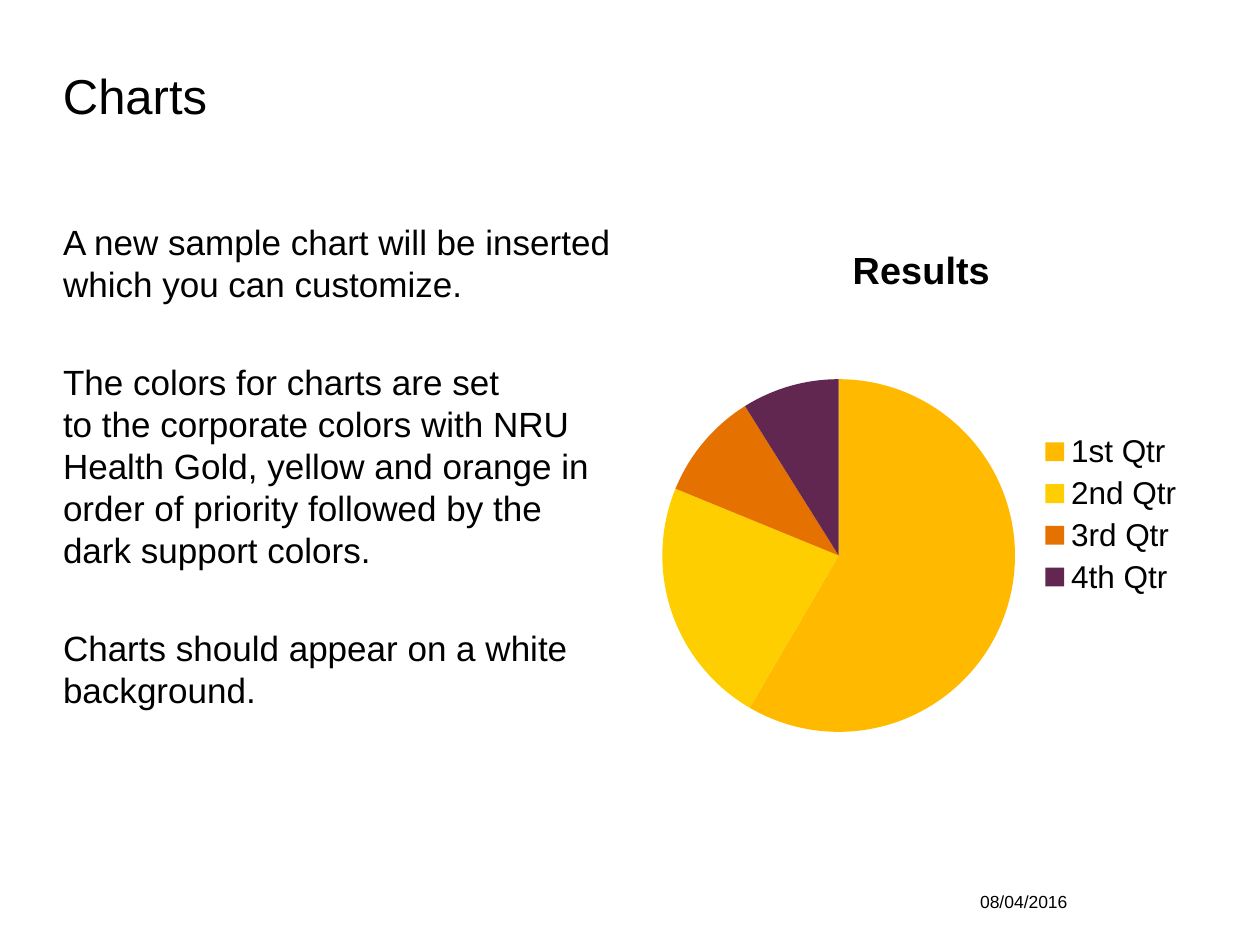
from dataclasses import dataclass

from lxml import etree
from pptx import Presentation
from pptx.chart.data import CategoryChartData
from pptx.dml.color import RGBColor
from pptx.enum.chart import XL_CHART_TYPE, XL_LEGEND_POSITION
from pptx.enum.text import MSO_ANCHOR, PP_ALIGN
from pptx.oxml.ns import qn
from pptx.util import Pt

PIE = XL_CHART_TYPE.PIE
LEGEND_RIGHT = XL_LEGEND_POSITION.RIGHT
TOP, MIDDLE = MSO_ANCHOR.TOP, MSO_ANCHOR.MIDDLE
LEFT, RIGHT = PP_ALIGN.LEFT, PP_ALIGN.RIGHT


@dataclass(frozen=True)
class Theme:
    font: str = "Arial"
    text: str = "000000"
    background: str = "FFFFFF"
    slices: tuple = ("FFBA00", "FFCE00", "E57200", "612751")
    title: float = 28
    body: float = 20
    date: float = 10
    chart: float = 18
    chart_title: float = 21.6


THEME = Theme()

MARGIN = 36
CONTENT_TOP = 126
COLUMN_WIDTH, COLUMN_HEIGHT = 315, 336
CHART_LEFT = 720 - MARGIN - COLUMN_WIDTH

BODY = (
    ("A new sample chart will be inserted which you can customize.",),
    (
        "The colors for charts are set ",
        "to the corporate colors with NRU Health Gold, yellow and orange in "
        "order of priority followed by the dark support colors.",
    ),
    ("Charts should appear on a white background.",),
)
QUARTERS = {"1st Qtr": 59, "2nd Qtr": 23, "3rd Qtr": 10, "4th Qtr": 9}
PIE_AREA = {"x": 0.03, "y": 0.27, "w": 0.64, "h": 0.6}


def style_font(font, size, bold=False):
    font.name = THEME.font
    font.size = Pt(size)
    font.bold = bold
    font.color.rgb = RGBColor.from_string(THEME.text)


def add_text(s, box, paragraphs, size, line=None, gap=0, inset=0,
             align=LEFT, anchor=TOP, wrap=True):
    """Each paragraph is a tuple of lines, parted by line breaks."""
    tf = s.shapes.add_textbox(*map(Pt, box)).text_frame
    tf.word_wrap = wrap
    tf.vertical_anchor = anchor
    tf.margin_left = tf.margin_right = Pt(inset)
    tf.margin_top = tf.margin_bottom = 0
    for i, lines in enumerate(paragraphs):
        p = tf.add_paragraph() if i else tf.paragraphs[0]
        p.alignment = align
        if line:
            p.line_spacing = Pt(line)
        if i:
            p.space_before = Pt(gap)
        for j, text in enumerate(lines):
            if j:
                p.add_line_break()
            r = p.add_run()
            r.text = text
            style_font(r.font, size)


def place_plot(chart, area):
    """Fix the plot at fractions of the chart's width and height."""
    plot_area = chart.plots[0]._element.getparent()
    for old in plot_area.findall(qn("c:layout")):
        plot_area.remove(old)
    layout = etree.Element(qn("c:layout"))
    manual = etree.SubElement(layout, qn("c:manualLayout"))
    values = {"layoutTarget": "inner", "xMode": "edge", "yMode": "edge", **area}
    for tag, value in values.items():
        etree.SubElement(manual, qn(f"c:{tag}")).set("val", str(value))
    plot_area.insert(0, layout)


def add_pie(s, box, title, values):
    data = CategoryChartData()
    data.categories = list(values)
    data.add_series(title, list(values.values()))
    chart = s.shapes.add_chart(PIE, *map(Pt, box), data).chart
    style_font(chart.font, THEME.chart)

    chart.has_title = True
    r = chart.chart_title.text_frame.paragraphs[0].add_run()
    r.text = title
    style_font(r.font, THEME.chart_title, bold=True)

    chart.has_legend = True
    chart.legend.position = LEGEND_RIGHT
    chart.legend.include_in_layout = False
    style_font(chart.legend.font, THEME.chart)

    plot = chart.plots[0]
    plot.vary_by_categories = True
    for i, color in enumerate(THEME.slices):
        fill = plot.series[0].points[i].format.fill
        fill.solid()
        fill.fore_color.rgb = RGBColor.from_string(color)
    place_plot(chart, PIE_AREA)


def main():
    prs = Presentation()
    prs.slide_width, prs.slide_height = Pt(720), Pt(540)
    s = prs.slides.add_slide(prs.slide_layouts[6])
    s.background.fill.solid()
    s.background.fill.fore_color.rgb = RGBColor.from_string(THEME.background)

    add_text(s, (MARGIN, 36, 648, 72), [("Charts",)], THEME.title, line=35)
    add_text(s, (510, 509, 107, 12), [("08/04/2016",)], THEME.date,
             inset=7.2, align=RIGHT, anchor=MIDDLE, wrap=False)
    add_text(s, (MARGIN, CONTENT_TOP, COLUMN_WIDTH, COLUMN_HEIGHT), BODY,
             THEME.body, line=24, gap=32)
    add_pie(s, (CHART_LEFT, CONTENT_TOP, COLUMN_WIDTH, COLUMN_HEIGHT),
            "Results", QUARTERS)
    prs.save("out.pptx")


if __name__ == "__main__":
    main()
